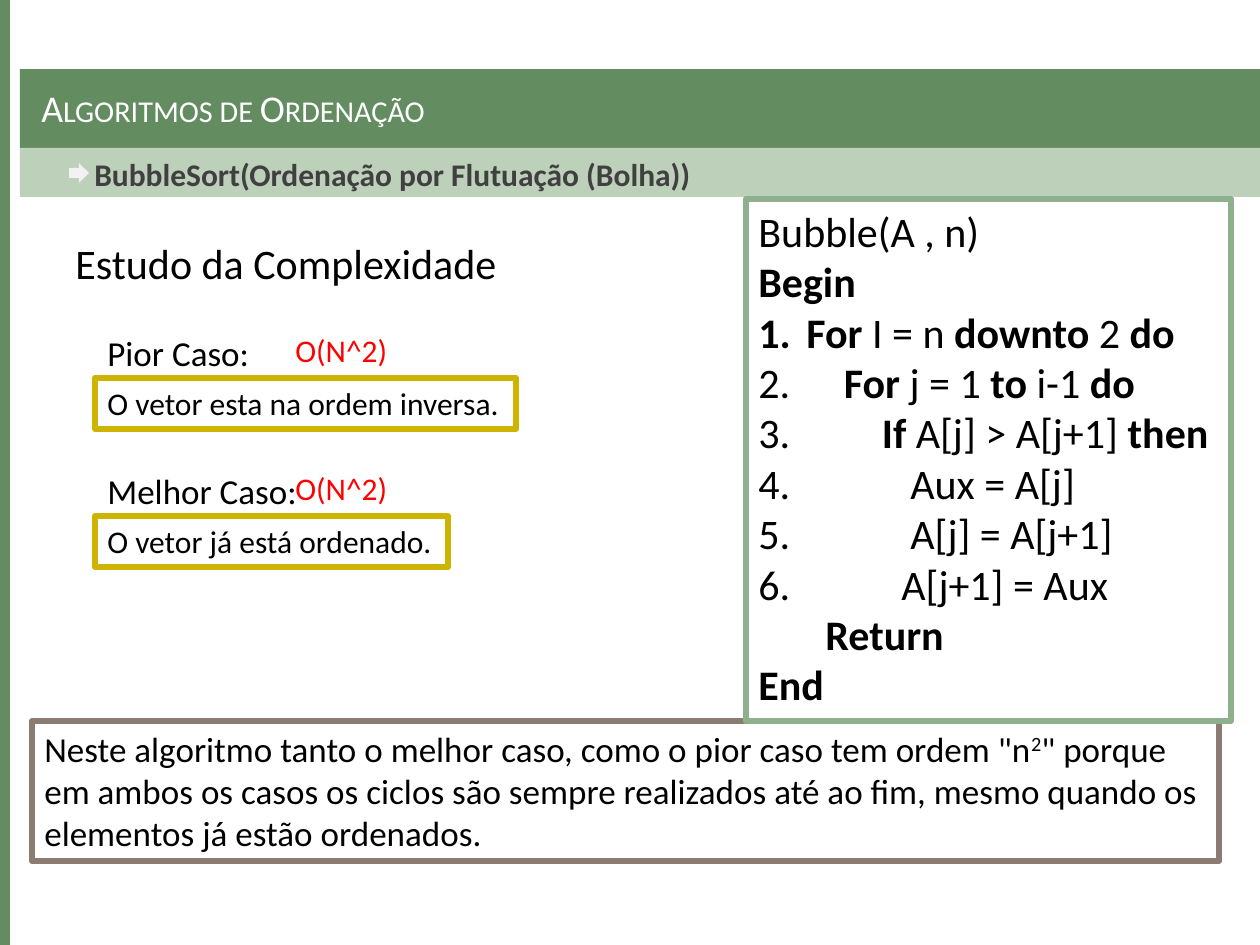
from dataclasses import dataclass
from pptx import Presentation
from pptx.dml.color import RGBColor as RGB
from pptx.enum.shapes import MSO_SHAPE as SHAPE
from pptx.enum.text import MSO_ANCHOR as ANCHOR, MSO_AUTO_SIZE as FIT, PP_ALIGN as ALIGN
from pptx.oxml.ns import qn
from pptx.util import Emu, Pt
from lxml.etree import SubElement


@dataclass(frozen=True)
class Theme:
    font: str = "Calibri"
    green: str = "648C61"
    pale: str = "BCD0BA"
    code: str = "8FB08C"
    gold: str = "CCB400"
    brown: str = "8C7B70"
    white: str = "FFFFFF"
    arrow: str = "F2F2F2"
    gray: str = "404040"
    black: str = "000000"
    red: str = "FF0000"
    title: float = 21.6
    big: int = 24
    mid: int = 20
    small: int = 18
    border: float = 3.35


class Deck:
    def __init__(self, prs, theme):
        self.theme = theme
        self.slide = prs.slides.add_slide(prs.slide_layouts[6])

    @staticmethod
    def px(n):
        return Emu(n * 914400 // 126)

    def shape(self, box, fill, line=None, kind=SHAPE.RECTANGLE):
        sp = self.slide.shapes.add_shape(kind, *map(self.px, box))
        sp.shadow.inherit = False
        sp.fill.solid()
        sp.fill.fore_color.rgb = RGB.from_string(fill)
        if line:
            sp.line.color.rgb = RGB.from_string(line)
            sp.line.width = Pt(self.theme.border)
        else:
            sp.line.fill.background()
        return sp

    def frame(self, sp, **fmt):
        tf = sp.text_frame
        base = dict(word_wrap=False, auto_size=FIT.NONE, vertical_anchor=ANCHOR.TOP)
        for name, value in {**base, **fmt}.items():
            setattr(tf, name, value)
        tf.paragraphs[0].alignment = ALIGN.LEFT
        return tf

    def run(self, p, text, size, color=None, bold=False, **attrs):
        r = p.add_run()
        r.text = text
        fmt = dict(name=self.theme.font, size=Pt(size), bold=bold)
        for name, value in fmt.items():
            setattr(r.font, name, value)
        r.font.color.rgb = RGB.from_string(color or self.theme.black)
        for name, value in attrs.items():
            r.font._element.set(name, value)

    def text(self, box, text, size, color=None, bold=False, attrs=None, **fmt):
        sp = self.slide.shapes.add_textbox(*map(self.px, box))
        tf = self.frame(sp, **fmt)
        self.run(tf.paragraphs[0], text, size, color, bold, **(attrs or {}))

    def panel(self, box, line, size, runs, **fmt):
        sp = self.shape(box, self.theme.white, line)
        p = self.frame(sp, **fmt).paragraphs[0]
        for text, attrs in runs:
            self.run(p, text, size, **attrs)

    def code(self, box, line, size, lines):
        tf = self.frame(self.shape(box, self.theme.white, line))
        for i, (number, indent, runs) in enumerate(lines):
            p = tf.paragraphs[0] if i == 0 else tf.add_paragraph()
            p.alignment = ALIGN.LEFT
            pPr = p._p.get_or_add_pPr()
            pPr.set("marL", str(self.px(indent)))
            pPr.set("indent", str(-self.px(indent) if number else 0))
            if number:
                SubElement(pPr, qn("a:buFont"), typeface="+mj-lt")
                SubElement(pPr, qn("a:buAutoNum"), type="arabicPeriod", startAt=str(number))
            for text, bold in runs:
                self.run(p, text, size, bold=bold)


prs = Presentation()
prs.slide_width, prs.slide_height = Deck.px(1260), Deck.px(945)
t = Theme()
deck = Deck(prs, t)

deck.shape((0, 0, 10, 945), t.green)
deck.shape((20, 69, 1240, 79), t.green)
deck.shape((20, 148, 1240, 49), t.pale)
deck.shape((69, 163, 20, 20), t.arrow, kind=SHAPE.RIGHT_ARROW)
deck.text((82, 149, 1074, 34), "BubbleSort(Ordenação por Flutuação (Bolha))",
          t.small, t.gray, True, word_wrap=True)
deck.text((29, 78, 1134, 59), "Algoritmos de Ordenação", t.title, t.white,
          attrs={"cap": "small"}, word_wrap=True, vertical_anchor=ANCHOR.MIDDLE)
deck.text((63, 231, 450, 63), "Estudo da Complexidade", t.big)

cases = [
    ("Pior Caso:", 169, "O vetor esta na ordem inversa.", 421),
    ("Melhor Caso:", 217, "O vetor já está ordenado.", 353),
]
for i, (label, label_w, note, note_w) in enumerate(cases):
    top = 325 + 138 * i
    deck.text((95, top, label_w, 55), label, t.mid)
    deck.text((283, top, 118, 50), "O(N^2)", t.small, t.red)
    deck.panel((95, top + 53, note_w, 51), t.gold, t.small, [(note, {})])

deck.panel((32, 721, 1187, 140), t.brown, t.mid, [
    ("Neste algoritmo tanto o melhor caso, como o pior caso tem ordem \"n", {}),
    ("2", {"baseline": "30000"}),
    ("\" porque em ambos os casos os ciclos são sempre realizados até ao fim, "
     "mesmo quando os elementos já estão ordenados.", {}),
], word_wrap=True)

deck.code((746, 199, 485, 522), t.code, t.big, [
    (0, 0, [("Bubble(A , n)", False)]),
    (0, 0, [("Begin", True)]),
    (1, 48, [("For", True), (" I = n ", False), ("downto", True), (" 2 ", False), ("do", True)]),
    (2, 76, [(" ", False), ("For", True), (" j = 1 ", False), ("to", True),
             (" i-1 ", False), ("do", True)]),
    (3, 114, [(" ", False), ("If", True), (" A[j] > A[j+1] ", False), ("then", True)]),
    (4, 152, [("Aux = A[j]", False)]),
    (5, 152, [("A[j] = A[j+1]", False)]),
    (6, 143, [("A[j+1] = Aux", False)]),
    (0, 67, [("Return", True)]),
    (0, 0, [("End", True)]),
])

prs.save("out.pptx")
